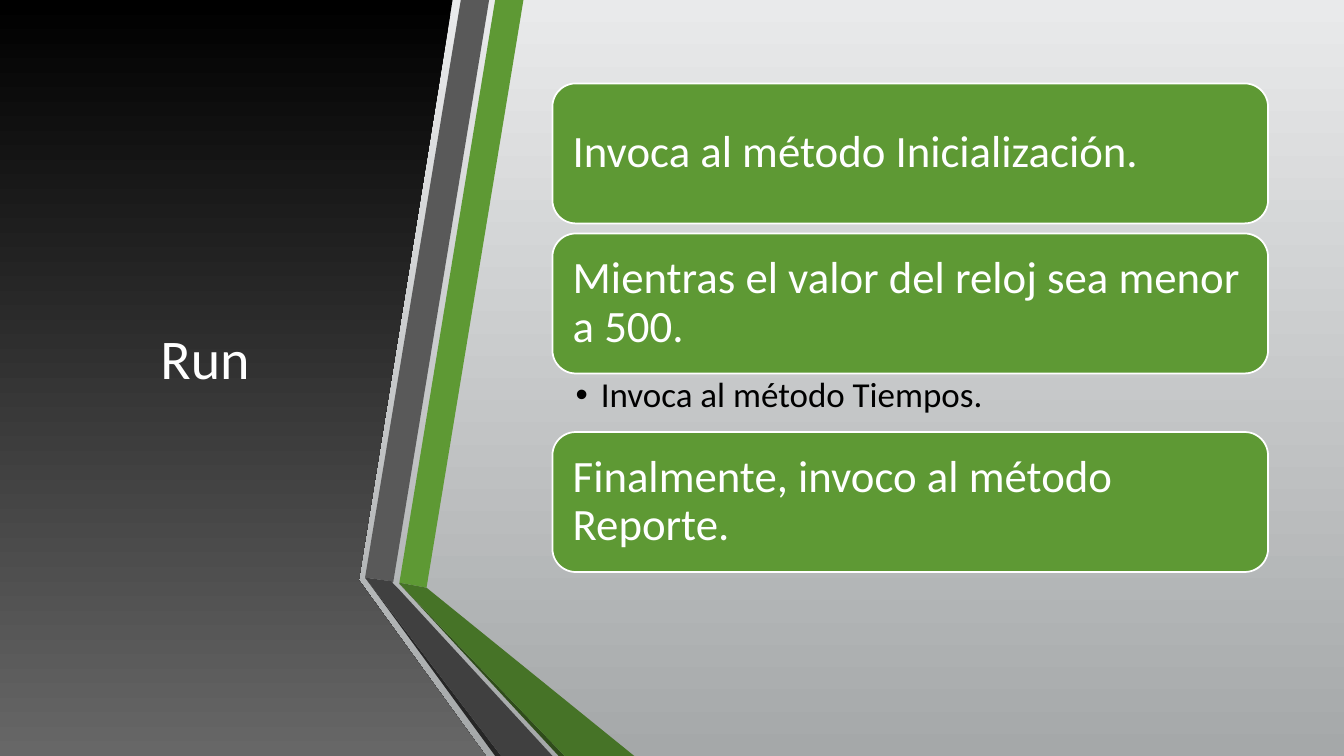
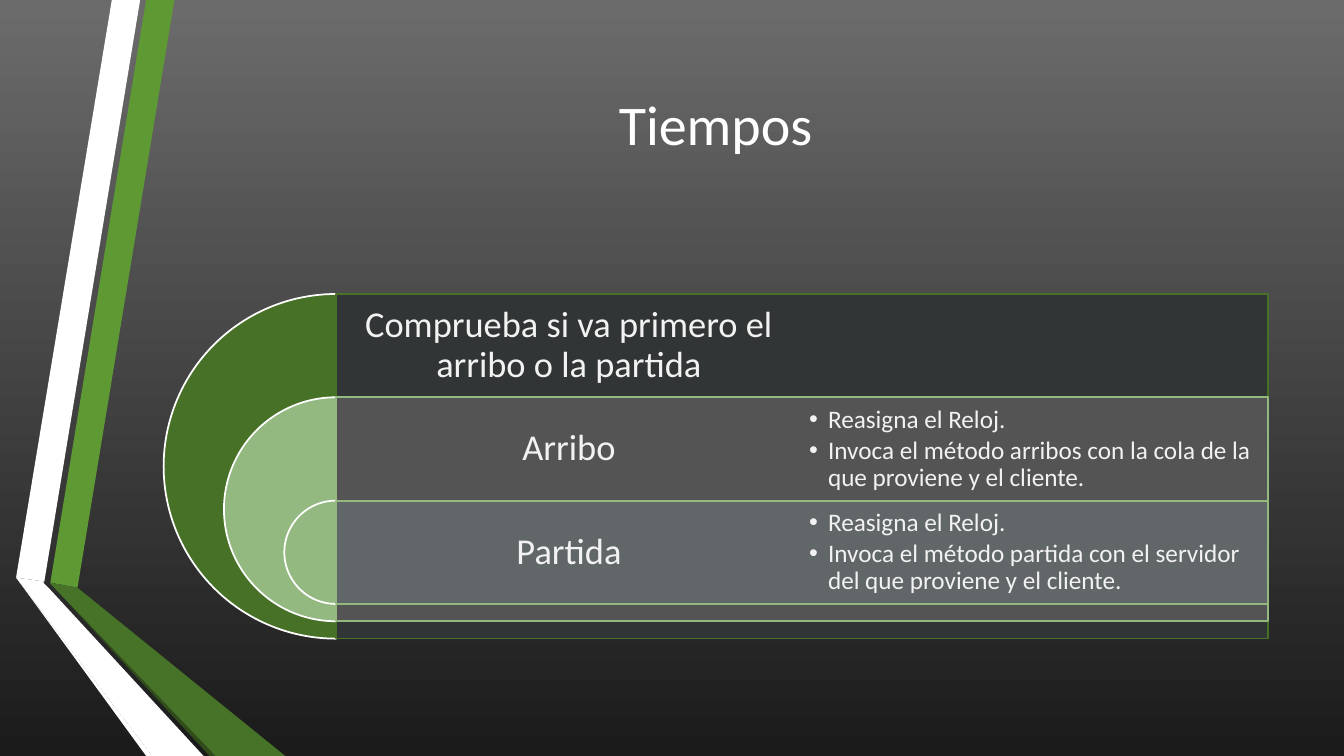
"""Build two slides on the Run and Tiempos methods of a simulation."""
from dataclasses import dataclass
from lxml.etree import SubElement
from pptx import Presentation
from pptx.dml.color import RGBColor
from pptx.enum.shapes import MSO_SHAPE as Preset
from pptx.enum.text import MSO_ANCHOR as Anchor, MSO_AUTO_SIZE as AutoSize, PP_ALIGN as Align
from pptx.oxml.ns import qn
from pptx.util import Pt


@dataclass(frozen=True)
class Theme:
    font: str = "Calibri"
    title_size: int = 40
    step_size: int = 32
    step_detail_size: int = 25
    label_size: int = 26
    detail_size: int = 18
    white: str = "FFFFFF"
    black: str = "000000"
    pale: str = "F2F2F2"
    green: str = "5E9934"
    green_foot: str = "467327"
    green_edge: str = "2F4C1A"
    gray: str = "595959"
    gray_foot: str = "404040"
    gray_edge: str = "262626"
    outline: float = 1.25
    light_page: tuple = ("E9EAEB", "A5A8A9")
    dark_page: tuple = ("6B6B6B", "1B1B1B")
    panel: tuple = ("000000", "676767")


THEME = Theme()
WIDTH, HEIGHT = 960, 540
LAYOUT_ONE_LIST, LAYOUT_TWO_LISTS = 1, 3

RUN = {
    "title": "Run",
    "steps": [
        ("Invoca al método Inicialización.", []),
        ("Mientras el valor del reloj sea menor a 500.", ["Invoca al método Tiempos."]),
        ("Finalmente, invoco al método Reporte.", []),
    ],
}
TIEMPOS = {
    "title": "Tiempos",
    "levels": [
        {"label": "Comprueba si va primero el arribo o la partida", "details": [],
         "pie": "467126", "band": "323536", "line": "467126", "alpha": 100},
        {"label": "Arribo",
         "details": ["Reasigna el Reloj.",
                     "Invoca el método arribos con la cola de la que proviene y el cliente."],
         "pie": "93B981", "band": "585858", "line": "93B981", "alpha": 90},
        {"label": "Partida",
         "details": ["Reasigna el Reloj.",
                     "Invoca el método partida con el servidor del que proviene y el cliente."],
         "pie": "93B981", "band": "636A6C", "line": "93B981", "alpha": 90},
    ],
}

GREEN_BAND = [(36, 416.2), (55.4, 419.8), (124.6, 0), (104.4, 0)]
GRAY_BAND = [(100.1, 0), (79.9, 0), (11.5, 412.6), (31.7, 415.4)]
GRAY_EDGE = [(11.5, 412.6), (104.4, HEIGHT), (108.7, HEIGHT)]
GREEN_EDGE = [(36, 416.9), (149.8, HEIGHT), (154.1, HEIGHT)]
GREEN_FOOT = [(36, 416.9), (154.1, HEIGHT), (203.8, HEIGHT), (55.4, 419.8), (36, 416.2)]
GRAY_FOOT = [(145.4, HEIGHT), (34.6, 419.8), (31, 416.2), (31.7, 415.4), (11.5, 412.6),
             (108.7, HEIGHT)]
PANEL = [(0, 0), (323.3, 0), (256.3, 414.4), (347, HEIGHT), (0, HEIGHT)]


def rgb(color):
    """Return the colour object for a hex value."""
    return RGBColor.from_string(color)


def paint(fill, color):
    """Fill with one colour, or from top to bottom with a pair."""
    if isinstance(color, str):
        fill.solid()
        fill.fore_color.rgb = rgb(color)
        return
    fill.gradient()
    fill.gradient_angle = 270
    for stop, tone in zip(fill.gradient_stops, color):
        stop.color.rgb = rgb(tone)


def write_text(box, lines, *, size, color, align=Align.LEFT, anchor=Anchor.MIDDLE,
               margins=(0, 0, 0, 0), spacing=0.9, after=0, indent=0):
    """Write paragraphs into a shape, bulleted when an indent is given."""
    frame = box.text_frame
    frame.word_wrap = True
    frame.auto_size = AutoSize.NONE
    frame.vertical_anchor = anchor
    frame.margin_left, frame.margin_top, frame.margin_right, frame.margin_bottom = map(Pt, margins)
    for number, line in enumerate(lines):
        para = frame.add_paragraph() if number else frame.paragraphs[0]
        para.alignment = align
        para.line_spacing = spacing
        para.space_before = Pt(0)
        para.space_after = Pt(after)
        span = para.add_run()
        span.text = line
        span.font.name = THEME.font
        span.font.size = Pt(size)
        span.font.color.rgb = rgb(color)
        if indent:
            props = para._p.get_or_add_pPr()
            props.set("marL", str(Pt(indent)))
            props.set("indent", str(-Pt(indent)))
            SubElement(props, qn("a:buChar")).set("char", "•")


def place(box, left, top, width, height):
    """Move a placeholder to a rectangle, in front of the shapes so far."""
    box.left, box.top, box.width, box.height = map(Pt, (left, top, width, height))
    box.element.getparent().append(box.element)
    return box


def add_title(page, text, *area):
    """Set the centred slide title."""
    write_text(place(page.shapes.title, *area), [text], size=THEME.title_size,
               color=THEME.white, align=Align.CENTER, spacing=1.0)


def add_outline(page, points, color, shift=0):
    """Draw a closed polygon without a line."""
    corners = [(Pt(x + shift), Pt(y)) for x, y in points]
    builder = page.shapes.build_freeform(*corners[0], scale=1.0)
    builder.add_line_segments(corners[1:], close=True)
    shape = builder.convert_to_shape()
    shape.shadow.inherit = False
    paint(shape.fill, color)
    shape.line.fill.background()


def add_ribbon(page, band, edge, foot, shift=0):
    """Draw the folded pair of bands, the left one in the given tones."""
    for points, color in [
        (GREEN_BAND, THEME.green), (GRAY_BAND, band), (GRAY_EDGE, edge),
        (GREEN_EDGE, THEME.green_edge), (GREEN_FOOT, THEME.green_foot), (GRAY_FOOT, foot),
    ]:
        add_outline(page, points, color, shift)


def add_block(page, preset, area, color, line, alpha=100):
    """Add an outlined preset shape."""
    shape = page.shapes.add_shape(preset, *map(Pt, area))
    shape.shadow.inherit = False
    paint(shape.fill, color)
    if alpha < 100:
        tone = shape.element.find(".//" + qn("a:srgbClr"))
        SubElement(tone, qn("a:alpha")).set("val", str(alpha * 1000))
    shape.line.color.rgb = rgb(line)
    shape.line.width = Pt(THEME.outline)
    return shape


def start_page(deck, layout, background):
    """Add a slide with a gradient background."""
    page = deck.slides.add_slide(deck.slide_layouts[layout])
    paint(page.background.fill, background)
    return page


def build_run(deck):
    """Stack the steps of the Run method beside the dark panel."""
    page = start_page(deck, LAYOUT_ONE_LIST, THEME.light_page)
    add_outline(page, PANEL, THEME.panel)
    add_title(page, RUN["title"], 42.5, 54, 208, 402)
    add_ribbon(page, THEME.gray, THEME.gray_edge, THEME.gray_foot, shift=249.3)
    left, top, width, height, gap, detail_height = 394.6, 59.6, 511.2, 100, 7.2, 41.8
    for heading, details in RUN["steps"]:
        step = add_block(page, Preset.ROUNDED_RECTANGLE, (left, top, width, height),
                         THEME.green, THEME.white)
        write_text(step, [heading], size=THEME.step_size, color=THEME.white, margins=(9.6,) * 4)
        top += height
        if details:
            box = place(page.placeholders[1], left, top, width, detail_height)
            write_text(box, details, size=THEME.step_detail_size, color=THEME.black,
                       anchor=Anchor.TOP, margins=(16.6, 2.9, 18, 2.9), after=5, indent=18)
        top += detail_height if details else gap


def build_tiempos(deck):
    """Nest the half circles and bands of the Tiempos method."""
    page = start_page(deck, LAYOUT_TWO_LISTS, THEME.dark_page)
    add_ribbon(page, THEME.white, THEME.white, THEME.white)
    add_title(page, TIEMPOS["title"], 116.6, 54, 789, 68.4)
    left, first_top, width, row, rim, outer = 240, 210, 666, 73.8, 12.4, 246.2
    half = width / 2
    lists = iter([page.placeholders[1], page.placeholders[2]])
    for number, level in enumerate(TIEMPOS["levels"]):
        top = first_top + number * row
        size = outer - number * (row + rim)
        pie = add_block(page, Preset.PIE, (left - size / 2, top, size, size),
                        level["pie"], THEME.white)
        pie.adjustments[0], pie.adjustments[1] = 54, 162
        add_block(page, Preset.RECTANGLE, (left, top, width, size),
                  level["band"], level["line"], level["alpha"])
        label = page.shapes.add_textbox(*map(Pt, (left, top, half, row)))
        write_text(label, [level["label"]], size=THEME.label_size, color=THEME.pale,
                   align=Align.CENTER, margins=(7.8,) * 4)
        if level["details"]:
            box = place(next(lists), left + half, top, half, row)
            write_text(box, level["details"], size=THEME.detail_size, color=THEME.pale,
                       margins=(5,) * 4, after=2.7, indent=13.5)


def main():
    """Build and save the deck."""
    deck = Presentation()
    deck.slide_width, deck.slide_height = Pt(WIDTH), Pt(HEIGHT)
    build_run(deck)
    build_tiempos(deck)
    deck.save("out.pptx")


if __name__ == "__main__":
    main()
